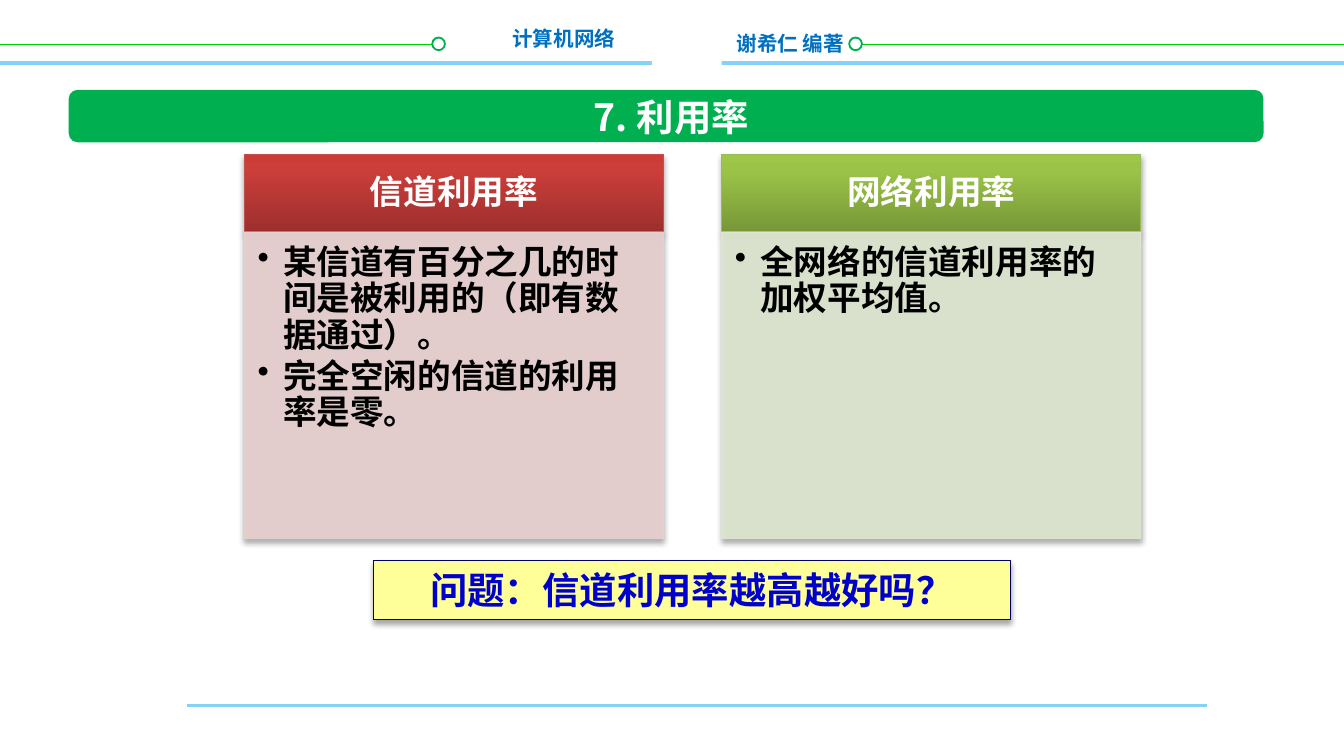
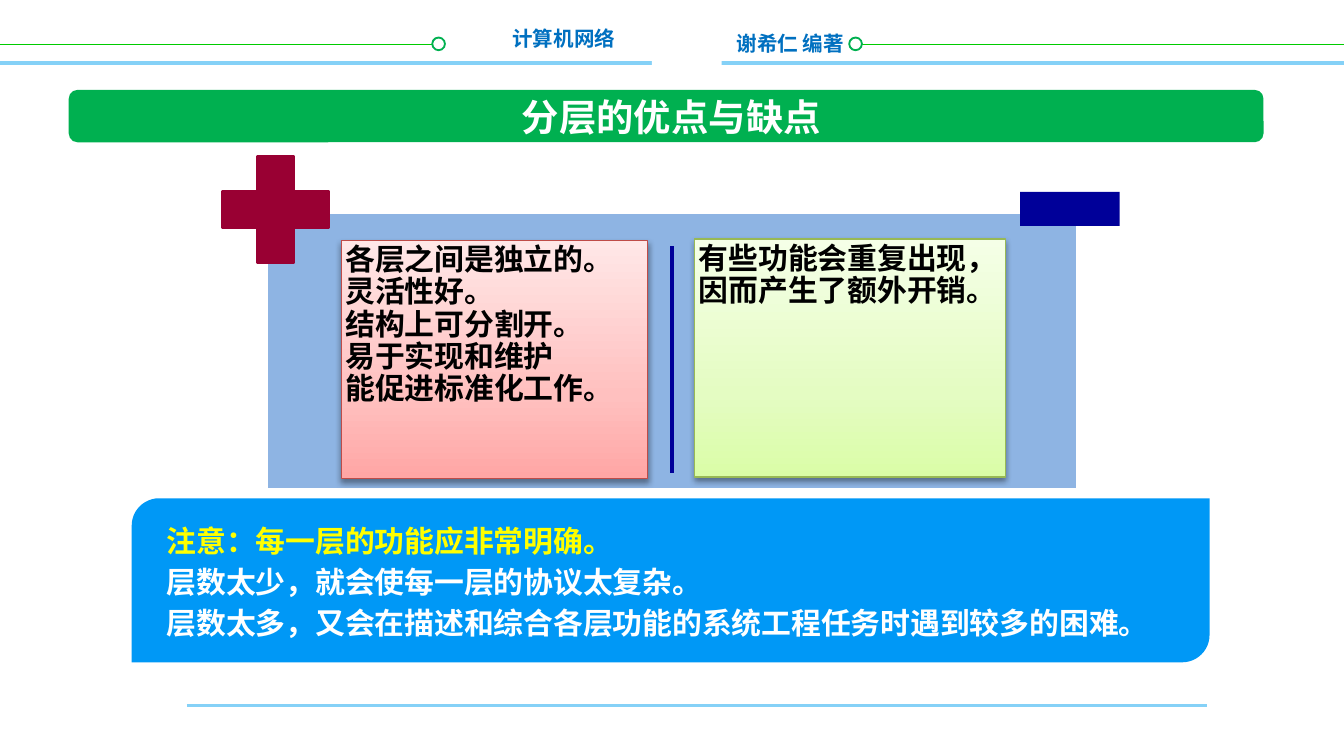
from dataclasses import dataclass
from typing import Optional

from lxml import etree
from pptx import Presentation
from pptx.dml.color import RGBColor
from pptx.enum.shapes import MSO_CONNECTOR, MSO_SHAPE
from pptx.enum.text import MSO_ANCHOR, PP_ALIGN
from pptx.oxml.ns import qn
from pptx.util import Cm, Pt

RECT = MSO_SHAPE.RECTANGLE
ROUND_RECT = MSO_SHAPE.ROUNDED_RECTANGLE
ROUND_DIAGONAL = MSO_SHAPE.ROUND_2_DIAG_RECTANGLE
OVAL = MSO_SHAPE.OVAL
CROSS = MSO_SHAPE.CROSS
STRAIGHT = MSO_CONNECTOR.STRAIGHT
LEFT, CENTER, RIGHT = PP_ALIGN.LEFT, PP_ALIGN.CENTER, PP_ALIGN.RIGHT
TOP, MIDDLE = MSO_ANCHOR.TOP, MSO_ANCHOR.MIDDLE

SLIDE_W, SLIDE_H = 25.4, 14.29  # all plain lengths are centimetres

Stops = tuple[tuple[int, str], ...]


@dataclass(frozen=True)
class Theme:
    font: str = "Noto Sans CJK SC"
    white: str = "FFFFFF"
    black: str = "000000"
    green: str = "00B050"
    green_line: str = "00CC00"
    sky: str = "85D1F7"
    header_text: str = "0070C0"
    navy: str = "000099"
    crimson: str = "990033"
    panel: str = "8EB4E3"
    note: str = "0098F6"
    note_lead: str = "FFFF00"
    question_fill: str = "FFFF99"
    question_line: str = "000066"
    question_text: str = "0000CC"
    header_size: float = 11
    list_size: float = 16
    card_size: float = 18
    title_size: float = 20


THEME = Theme()


@dataclass(frozen=True)
class Box:
    left: float
    top: float
    width: float
    height: float

    def lengths(self) -> tuple[Cm, Cm, Cm, Cm]:
        return Cm(self.left), Cm(self.top), Cm(self.width), Cm(self.height)


@dataclass(frozen=True)
class TextStyle:
    size: float
    color: str
    align: PP_ALIGN = LEFT
    anchor: MSO_ANCHOR = TOP
    insets: tuple[float, float, float, float] = (0.25, 0.13, 0.25, 0.13)
    spacing: Optional[float] = None  # a multiple, or a Pt length
    after: float = 0
    bullet_indent: float = 0
    wrap: bool = True


@dataclass(frozen=True)
class Look:
    fill: Optional[str] = None
    stops: Stops = ()
    line: Optional[str] = None
    line_width: float = 0.75
    opacity: int = 100
    shadow: Optional[tuple[int, float]] = None  # opacity, distance in points


@dataclass(frozen=True)
class Card:
    heading: str
    points: tuple[str, ...]
    stops: Stops
    line: str
    body: str


@dataclass(frozen=True)
class ListBox:
    box: Box
    lines: tuple[str, ...]
    stops: Stops
    line: str


HEADER = TextStyle(THEME.header_size, THEME.header_text)
COURSE = TextStyle(THEME.header_size, THEME.header_text, RIGHT, wrap=False)
TITLE = TextStyle(THEME.title_size, THEME.white, CENTER, MIDDLE)
CARD_HEAD = TextStyle(THEME.card_size, THEME.white, CENTER, MIDDLE,
                      (0.36, 0.2, 0.36, 0.2), 0.9)
CARD_BODY = TextStyle(THEME.card_size, THEME.black,
                      insets=(0.25, 0.25, 0.36, 0.41),
                      spacing=0.9, after=2.7, bullet_indent=0.48)
QUESTION = TextStyle(THEME.title_size, THEME.question_text, CENTER)
LIST = TextStyle(THEME.list_size, THEME.black,
                 insets=(0.08, 0.08, 0.08, 0.08), spacing=0.9)
NOTE = TextStyle(THEME.list_size, THEME.white, spacing=Pt(22))

CARD_SHADOW = (35, 1.8)
LIST_SHADOW = (38, 1.6)

CARDS = (
    Card("信道利用率",
         ("某信道有百分之几的时间是被利用的（即有数据通过）。",
          "完全空闲的信道的利用率是零。"),
         ((0, "9C2F2D"), (80, "CB3E3A"), (100, "CE3B37")), "C0504D", "E8D0D0"),
    Card("网络利用率", ("全网络的信道利用率的加权平均值。",),
         ((0, "779737"), (80, "9BC348"), (100, "9DC746")), "9BBB59", "DEE7D1"),
)

LIST_BOXES = (
    ListBox(Box(6.45, 4.55, 5.79, 4.5),
            ("各层之间是独立的。", "灵活性好。", "结构上可分割开。",
             "易于实现和维护", "能促进标准化工作。"),
            ((0, "FFA6A5"), (35, "FFC0BF"), (100, "FFE7E7")), "BF4C48"),
    ListBox(Box(13.13, 4.52, 5.87, 4.5),
            ("有些功能会重复出现，因而产生了额外开销。",),
            ((0, "DAFDA7"), (35, "E4FCC2"), (100, "F5FFE7")), "98B955"),
)

NOTE_LINES = ("注意：每一层的功能应非常明确。",
              "层数太少，就会使每一层的协议太复杂。",
              "层数太多，又会在描述和综合各层功能的系统工程任务时遇到较多的困难。")


def rgb(color: str) -> RGBColor:
    return RGBColor.from_string(color)


def sub(parent, tag: str, **attrs):
    return etree.SubElement(parent, qn(tag), {k: str(v) for k, v in attrs.items()})


def write_text(tf, lines: tuple[str, ...], style: TextStyle) -> None:
    tf.word_wrap = style.wrap
    tf.vertical_anchor = style.anchor
    (tf.margin_left, tf.margin_top,
     tf.margin_right, tf.margin_bottom) = map(Cm, style.insets)
    tf.text = "\n".join(lines)
    for p in tf.paragraphs:
        p.alignment = style.align
        p.line_spacing = style.spacing
        p.space_after = Pt(style.after)
        if style.bullet_indent:
            pPr = p._p.get_or_add_pPr()
            pPr.set("marL", str(Cm(style.bullet_indent)))
            pPr.set("indent", str(-Cm(style.bullet_indent)))
            sub(pPr, "a:buChar", char="•")
        for r in p.runs:
            r.font.size = Pt(style.size)
            r.font.bold = True
            r.font.color.rgb = rgb(style.color)
            r.font.name = THEME.font
            sub(r._r.get_or_add_rPr(), "a:ea", typeface=THEME.font)


def add_text(s, box: Box, lines: tuple[str, ...], style: TextStyle):
    tf = s.shapes.add_textbox(*box.lengths()).text_frame
    write_text(tf, lines, style)
    return tf


def add_block(s, kind: MSO_SHAPE, box: Box, look: Look):
    sp = s.shapes.add_shape(kind, *box.lengths())
    sp.shadow.inherit = False
    spPr = sp._element.spPr
    if look.stops:
        sp.fill.gradient()
        sp.fill.gradient_angle = 90
        stop_list = spPr.find(".//" + qn("a:gsLst"))
        stop_list.clear()
        for pos, color in look.stops:
            sub(sub(stop_list, "a:gs", pos=pos * 1000), "a:srgbClr", val=color)
    else:
        sp.fill.solid()
        sp.fill.fore_color.rgb = rgb(look.fill)
    if look.line:
        sp.line.color.rgb = rgb(look.line)
        sp.line.width = Pt(look.line_width)
    else:
        sp.line.fill.background()
    if look.opacity < 100:
        for color in spPr.findall(".//" + qn("a:srgbClr")):
            sub(color, "a:alpha", val=look.opacity * 1000)
    if look.shadow:
        opacity, distance = look.shadow
        outer = sub(spPr.find(qn("a:effectLst")), "a:outerShdw", blurRad=Pt(3.1),
                    dist=Pt(distance), dir=5400000, rotWithShape=0)
        sub(sub(outer, "a:srgbClr", val=THEME.black), "a:alpha", val=opacity * 1000)
    return sp


def add_line(s, x1: float, y1: float, x2: float, y2: float,
             color: str, width: float) -> None:
    line = s.shapes.add_connector(STRAIGHT, Cm(x1), Cm(y1), Cm(x2), Cm(y2))
    line.line.color.rgb = rgb(color)
    line.line.width = Pt(width)
    sub(line._element.spPr, "a:effectLst")


def add_frame(prs, title: str):
    """Add a slide with the shared header, title bar and footer rule."""
    s = prs.slides.add_slide(prs.slide_layouts[6])
    add_text(s, Box(13.67, 0.46, 2.95, 0.74), ("谢希仁 编著",), HEADER)
    add_text(s, Box(9.42, 0.36, 2.46, 0.74), ("计算机网络",), COURSE)
    for x1, x2, dot_left in ((0, 8.23, 8.17), (16.05, SLIDE_W, 16.05)):
        add_line(s, x1, 0.84, x2, 0.84, THEME.green_line, 1)
        add_block(s, OVAL, Box(dot_left, 0.71, 0.24, 0.24),
                  Look(THEME.white, line=THEME.green, line_width=1))
    add_line(s, 3.53, 13.34, 22.81, 13.34, THEME.sky, 1.5)
    add_line(s, 0, 1.19, SLIDE_W, 1.19, THEME.sky, 2)
    add_block(s, RECT, Box(12.32, 0.36, 1.32, 1.3), Look(THEME.white))
    bar = add_block(s, ROUND_RECT, Box(1.3, 1.7, 22.58, 0.99), Look(THEME.green))
    bar.adjustments[0] = 0.167
    add_text(s, Box(3.48, 1.7, 18.42, 0.99), (title,), TITLE)
    return s


def build_utilization(prs) -> None:
    s = add_frame(prs, "7. 利用率")
    # Two cards, each a heading over its points
    left, top, width, pitch = 4.62, 2.92, 7.92, 9.02
    head_h, body_h = 1.47, 5.79
    for i, card in enumerate(CARDS):
        x = left + i * pitch
        head = add_block(s, RECT, Box(x, top, width, head_h),
                         Look(stops=card.stops, line=card.line, shadow=CARD_SHADOW))
        write_text(head.text_frame, (card.heading,), CARD_HEAD)
        body = add_block(s, RECT, Box(x, top + head_h, width, body_h),
                         Look(card.body, line=card.body, opacity=90,
                              shadow=CARD_SHADOW))
        write_text(body.text_frame, card.points, CARD_BODY)
    # Closing question
    question = add_block(s, RECT, Box(7.06, 10.59, 12.04, 1.12),
                         Look(THEME.question_fill, line=THEME.question_line,
                              shadow=CARD_SHADOW))
    write_text(question.text_frame, ("问题：信道利用率越高越好吗？",), QUESTION)


def build_layering(prs) -> None:
    s = add_frame(prs, "分层的优点与缺点")
    # Advantages and drawbacks side by side
    add_block(s, RECT, Box(5.03, 4.01, 15.34, 5.26),
              Look(THEME.panel, line=THEME.white, line_width=2))
    for item in LIST_BOXES:
        sp = add_block(s, RECT, item.box,
                       Look(stops=item.stops, line=item.line, shadow=LIST_SHADOW))
        write_text(sp.text_frame, item.lines, LIST)
    # Plus and minus signs with the divider
    plus = add_block(s, CROSS, Box(4.22, 2.97, 1.98, 1.98),
                     Look(THEME.crimson, line=THEME.crimson, line_width=2))
    plus.adjustments[0] = 0.328
    add_block(s, RECT, Box(19.28, 3.63, 1.88, 0.64), Look(THEME.navy))
    add_line(s, 12.7, 4.65, 12.7, 8.94, THEME.navy, 2)
    # Note with a highlighted first line
    add_block(s, ROUND_DIAGONAL, Box(2.49, 9.42, 20.37, 3.1), Look(THEME.note))
    tf = add_text(s, Box(2.9, 9.65, 19.51, 2.62), NOTE_LINES, NOTE)
    tf.paragraphs[0].runs[0].font.color.rgb = rgb(THEME.note_lead)


def main() -> None:
    prs = Presentation()
    prs.slide_width, prs.slide_height = Cm(SLIDE_W), Cm(SLIDE_H)
    build_utilization(prs)
    build_layering(prs)
    prs.save("out.pptx")


if __name__ == "__main__":
    main()
